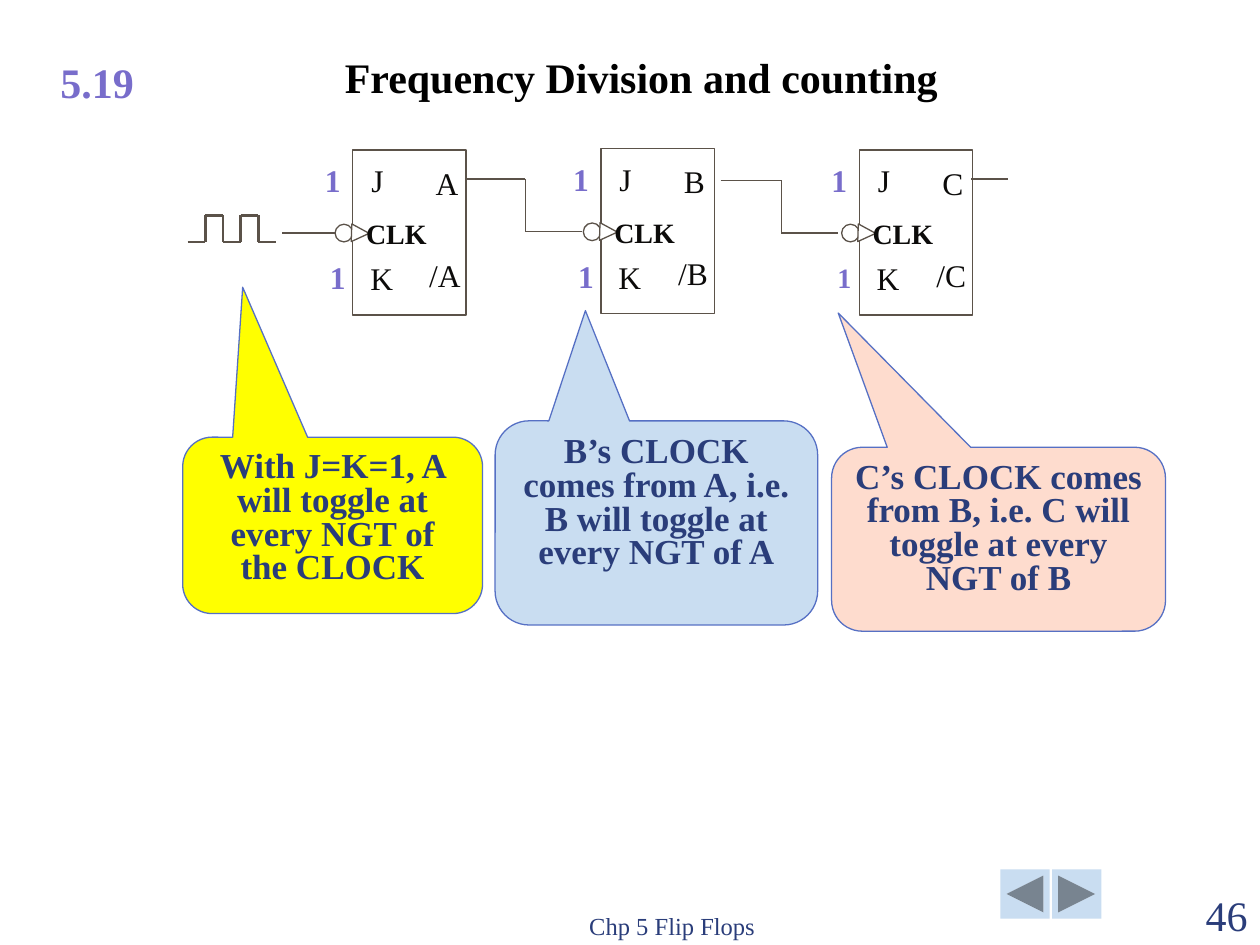
from dataclasses import dataclass

from lxml import etree
from pptx import Presentation
from pptx import util as u
from pptx.dml.color import RGBColor
from pptx.enum import shapes, text
from pptx.oxml.ns import qn

FONT = "Times New Roman"
COLORS = {
    "black": "000000", "ink": "0C0B0A", "wire": "5B5249", "purple": "786DCB",
    "navy": "2A3D7A", "edge": "5670C4", "white": "FFFFFF",
    "blue": "C9DDF1", "yellow": "FFFF00", "peach": "FEDCCE",
}
CENTER, LEFT, RIGHT = text.PP_ALIGN.CENTER, text.PP_ALIGN.LEFT, text.PP_ALIGN.RIGHT
TOP, BOTTOM = text.MSO_ANCHOR.TOP, text.MSO_ANCHOR.BOTTOM
SHAPE = shapes.MSO_SHAPE


@dataclass
class FlipFlop:
    output: str
    x: float
    y: float
    k_size: int = 18


@dataclass
class Callout:
    words: str
    box: tuple[float, float, float, float]
    tip: tuple[float, float]
    fill: str


FLIP_FLOPS = [
    FlipFlop("A", 2.8, 1.19),
    FlipFlop("B", 4.77, 1.18),
    FlipFlop("C", 6.82, 1.19, k_size=16),
]
CALLOUTS = [
    Callout("B’s CLOCK comes from A, i.e. B will toggle at every NGT of A",
            (3.93, 3.34, 2.56, 1.62), (-0.22, -1.04), "blue"),
    Callout("With J=K=1, A will toggle at every NGT of the CLOCK",
            (1.45, 3.47, 2.38, 1.4), (-0.3, -1.35), "yellow"),
    Callout("C’s CLOCK comes from B, i.e. C will toggle at every NGT of B",
            (6.6, 3.55, 2.65, 1.46), (-0.48, -1.23), "peach"),
]


def rgb(name: str) -> RGBColor:
    return RGBColor.from_string(COLORS[name])


def write(sp, words: str, size: float, color: str, bold=False, align=CENTER,
          anchor=TOP, wrap=True) -> None:
    tf = sp.text_frame
    tf.text = words
    tf.word_wrap = wrap
    tf.vertical_anchor = anchor
    p = tf.paragraphs[0]
    p.alignment = align
    font = p.runs[0].font
    font.name, font.size, font.bold = FONT, u.Pt(size), bold
    font.color.rgb = rgb(color)


def add_label(parent, box, words: str, size: float, color: str, **style) -> None:
    sp = parent.shapes.add_textbox(*map(u.Inches, box))
    write(sp, words, size, color, **style)


def add_preset(parent, kind, box, fill: str, line: str | None = "wire"):
    sp = parent.shapes.add_shape(kind, *map(u.Inches, box))
    sp.shadow.inherit = False
    sp.fill.solid()
    sp.fill.fore_color.rgb = rgb(fill)
    if line:
        sp.line.color.rgb = rgb(line)
        sp.line.width = u.Pt(0.75)
    else:
        sp.line.fill.background()
    return sp


def add_wire(parent, points, width: float = 0.75) -> None:
    """Join successive points with straight connectors."""
    for start, end in zip(points, points[1:]):
        cx = parent.shapes.add_connector(
            shapes.MSO_CONNECTOR.STRAIGHT, *map(u.Inches, (*start, *end)))
        cx.line.color.rgb = rgb("wire")
        cx.line.width = u.Pt(width)
        etree.SubElement(cx._element.spPr, qn("a:effectLst"))


def add_clock_input(s) -> None:
    """Draw two clock pulses and the lead to the first flip-flop."""
    g = s.shapes.add_group_shape()
    low, high, left, step = 1.92, 1.71, 1.49, 0.14
    levels = [low, high, low, high, low]
    points = [(left, low)]
    for i, level in enumerate(levels):
        points += [(left + i * step, level), (left + (i + 1) * step, level)]
    add_wire(g, points[1:], 1.5)
    add_wire(g, [(2.24, 1.85), (2.66, 1.85)])


def add_flip_flop(s, ff: FlipFlop) -> None:
    g = s.shapes.add_group_shape()
    x, y = ff.x, ff.y
    add_preset(g, SHAPE.RECTANGLE, (x, y, 0.9, 1.31), "white")
    add_preset(g, SHAPE.OVAL, (x - 0.14, y + 0.59, 0.14, 0.14), "white")
    edge = add_preset(g, SHAPE.ISOSCELES_TRIANGLE,
                      (x - 0.01, y + 0.59, 0.14, 0.14), "white")
    edge.rotation = 91.9
    pins = [("J", 0.02, 0.04, 0.35), ("K", 0.04, 0.82, 0.35),
            (ff.output, 0.56, 0.06, 0.35), ("/" + ff.output, 0.49, 0.79, 0.48)]
    for name, dx, dy, width in pins:
        add_label(g, (x + dx, y + dy, width, 0.4), name, 18, "ink")
    add_label(g, (x, y + 0.48, 0.69, 0.37), "CLK", 16, "ink", bold=True)
    k_drop = 0.81 if ff.k_size == 18 else 0.83
    for dx, dy, size in [(-0.32, 0.04, 18), (-0.28, k_drop, ff.k_size)]:
        add_label(g, (x + dx, y + dy, 0.32, 0.4), "1", size, "purple",
                  bold=True, wrap=False)


def add_clock_link(s, x: float, y: float) -> None:
    """Step from an output at (x, y) down to the next clock input."""
    g = s.shapes.add_group_shape()
    bend, drop = x + 0.48, y + 0.42
    add_wire(g, [(x, y), (bend, y), (bend, drop), (bend + 0.45, drop)])


def add_callout(s, c: Callout) -> None:
    sp = add_preset(s, SHAPE.ROUNDED_RECTANGULAR_CALLOUT, c.box, c.fill, "edge")
    sp.adjustments[0], sp.adjustments[1] = c.tip
    write(sp, c.words, 20, "navy", bold=True)
    sp.text_frame.paragraphs[0].line_spacing = 0.8


def main() -> None:
    prs = Presentation()
    prs.slide_width, prs.slide_height = u.Inches(10), u.Inches(7.5)
    s = prs.slides.add_slide(prs.slide_layouts[6])

    buttons = [SHAPE.ACTION_BUTTON_BACK_OR_PREVIOUS,
               SHAPE.ACTION_BUTTON_FORWARD_OR_NEXT]
    for i, kind in enumerate(buttons):
        add_preset(s, kind, (7.94 + i * 0.41, 6.9, 0.39, 0.39), "blue", None)

    add_label(s, (2.3, 0.37, 5.58, 0.49), "Frequency Division and counting",
              24, "black", bold=True, anchor=BOTTOM)
    add_label(s, (0.38, 0.4, 0.78, 0.5), "5.19", 24, "purple", bold=True,
              align=LEFT, wrap=False)

    add_clock_input(s)
    for ff in FLIP_FLOPS:
        add_flip_flop(s, ff)
    add_clock_link(s, 3.69, 1.42)
    add_clock_link(s, 5.72, 1.43)
    add_wire(s, [(7.71, 1.42), (8, 1.42)])
    for c in CALLOUTS:
        add_callout(s, c)

    add_label(s, (3.75, 7.01, 3.17, 0.5), "Chp 5 Flip Flops", 14, "navy",
              anchor=BOTTOM)
    add_label(s, (9, 7.01, 1, 0.5), "46", 24, "navy", align=RIGHT, anchor=BOTTOM)
    prs.save("out.pptx")


if __name__ == "__main__":
    main()
